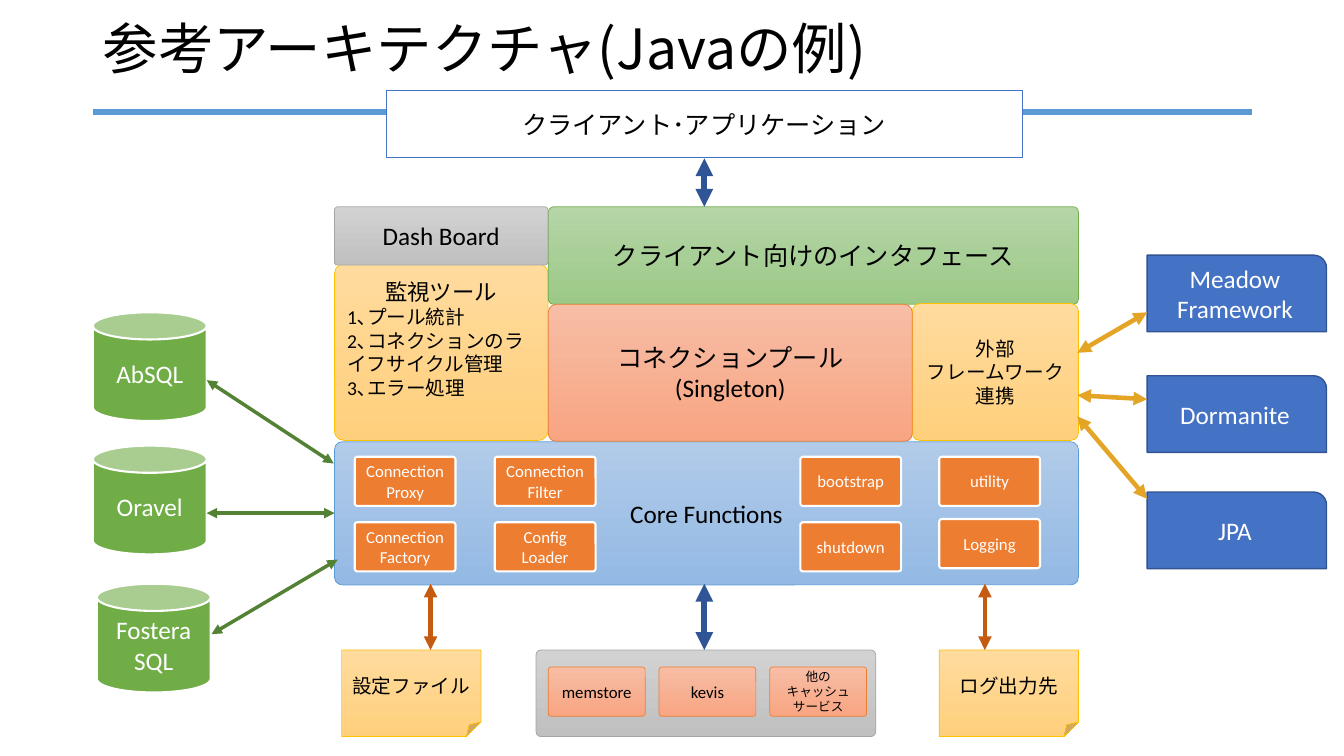
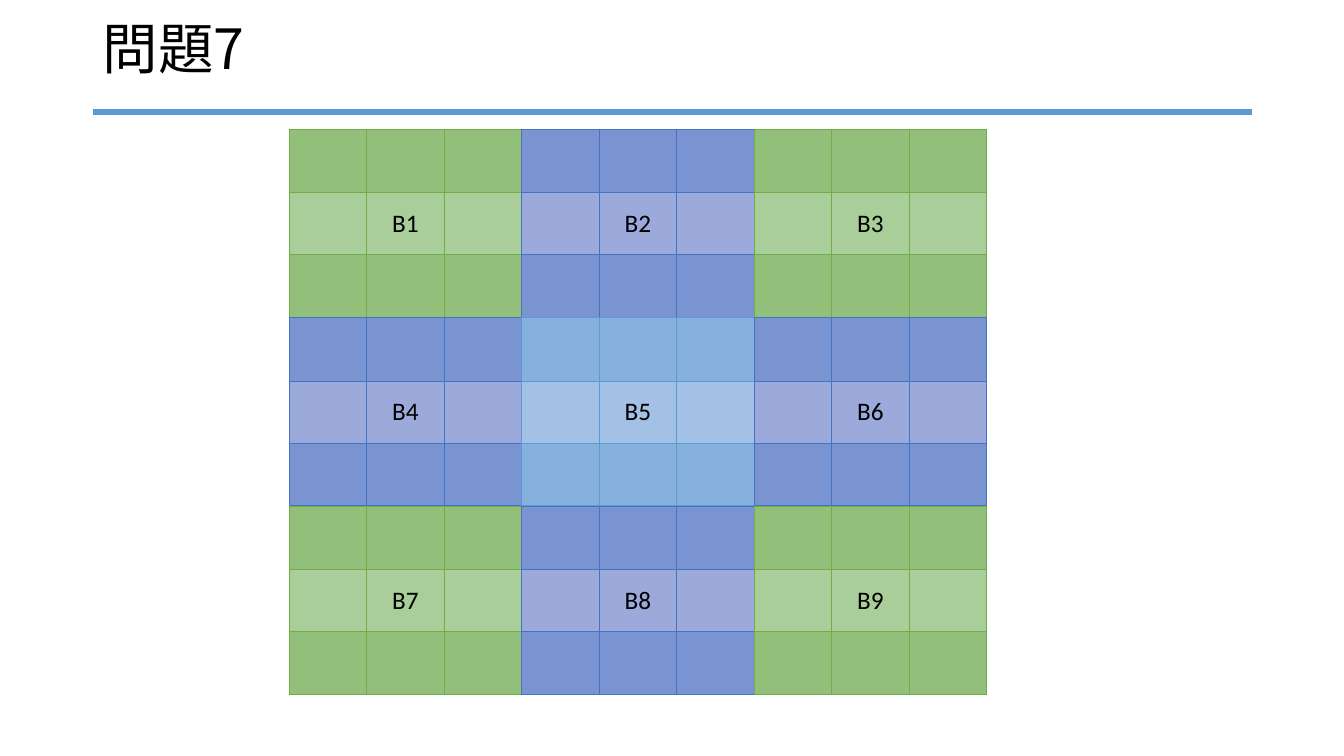
"""Build two slides: a layered architecture diagram and a nine-block grid."""
import dataclasses

import lxml.etree
import pptx
import pptx.dml.color
import pptx.enum.shapes
import pptx.enum.text
import pptx.oxml.ns
import pptx.presentation
import pptx.shapes.autoshape
import pptx.slide
import pptx.table
import pptx.text.text
import pptx.util

Cm = pptx.util.Cm
Pt = pptx.util.Pt
qn = pptx.oxml.ns.qn
Preset = pptx.enum.shapes.MSO_SHAPE
Align = pptx.enum.text.PP_ALIGN
Anchor = pptx.enum.text.MSO_ANCHOR


@dataclasses.dataclass(frozen=True)
class BoxStyle:
    """Look of one family of boxes; two fills make a vertical gradient."""
    preset: Preset
    fills: tuple[str, ...]
    line: str
    line_width: float
    text: str
    corner: float | None = None


@dataclasses.dataclass(frozen=True)
class BlockColours:
    """Border, outer-row and middle-row colours of one grid block."""
    border: str
    outer: str
    middle: str


def layer(top: str, bottom: str, line: str) -> BoxStyle:
    """Return a softly rounded gradient style."""
    return BoxStyle(Preset.ROUNDED_RECTANGLE, (top, bottom), line, 0.5, "000000", 0.056)


@dataclasses.dataclass(frozen=True)
class Theme:
    """Fonts, type sizes, colours and box styles of the presentation."""
    latin: str = "Calibri"
    japanese: str = "Noto Sans CJK JP"
    title_size: float = 39.6
    large: float = 18
    medium: float = 16
    body: float = 14
    small: float = 12
    tiny: float = 9
    black: str = "000000"
    rule: str = "5B9BD5"
    navy: str = "2F5597"
    rust: str = "C55A11"
    forest: str = "548235"
    amber: str = "E4A526"
    gold: BoxStyle = layer("FFDB9E", "FFD07C", "FFC000")
    sky: BoxStyle = layer("B1CBE9", "93B9E4", "5B9BD5")
    grey: BoxStyle = layer("D2D2D2", "C0C0C0", "A5A5A5")
    salmon: BoxStyle = layer("F7BDA5", "F8A582", "ED7D31")
    green: BoxStyle = layer("B5D5A7", "9CC987", "70AD47")
    note: BoxStyle = BoxStyle(Preset.FOLDED_CORNER, ("FFDB9E", "FFD07C"), "FFC000", 0.5, "000000")
    module: BoxStyle = BoxStyle(Preset.ROUNDED_RECTANGLE, ("ED7D31",), "FFFFFF", 1.5, "FFFFFF", 0.056)
    database: BoxStyle = BoxStyle(Preset.CAN, ("70AD47",), "FFFFFF", 1.5, "FFFFFF")
    framework: BoxStyle = BoxStyle(Preset.ROUND_1_RECTANGLE, ("4472C4",), "325491", 1, "FFFFFF")
    client: BoxStyle = BoxStyle(Preset.RECTANGLE, ("FFFFFF",), "4472C4", 0, "000000")
    corner_block: BlockColours = BlockColours("70AD47", "92C07A", "A9CE99")
    edge_block: BlockColours = BlockColours("4472C4", "7994D1", "9BAADA")
    centre_block: BlockColours = BlockColours("5B9BD5", "86B1DD", "A3C0E5")


THEME = Theme()


@dataclasses.dataclass(frozen=True)
class Box:
    """A labelled box, in centimetres, with optional left-aligned details."""
    style: BoxStyle
    left: float
    top: float
    width: float
    height: float
    lines: tuple[str, ...] = ()
    size: float = THEME.large
    details: tuple[str, ...] = ()
    bottom_inset: float = 0.13


@dataclasses.dataclass(frozen=True)
class Arrow:
    """A double-headed arrow between two points, in centimetres."""
    start: tuple[float, float]
    end: tuple[float, float]
    colour: str
    width: float


def rgb(value: str) -> pptx.dml.color.RGBColor:
    """Return the colour object for a hexadecimal value."""
    return pptx.dml.color.RGBColor.from_string(value)


def add_run(paragraph: pptx.text.text._Paragraph, text: str, size: float,
            colour: str, latin: str = THEME.latin) -> None:
    """Append one formatted run to a paragraph."""
    run = paragraph.add_run()
    run.text = text
    run.font.size = Pt(size)
    run.font.color.rgb = rgb(colour)
    run.font.name = latin
    lxml.etree.SubElement(run._r.get_or_add_rPr(), qn("a:ea"), typeface=THEME.japanese)


def add_line(slide: pptx.slide.Slide, line: Arrow, heads: bool = True) -> None:
    """Draw a straight line, with arrowheads at both ends if wanted."""
    connector = slide.shapes.add_connector(
        pptx.enum.shapes.MSO_CONNECTOR.STRAIGHT,
        *(Cm(value) for value in line.start + line.end))
    connector.line.color.rgb = rgb(line.colour)
    connector.line.width = Pt(line.width)
    properties = connector._element.spPr
    if heads:
        for end in ("a:headEnd", "a:tailEnd"):
            lxml.etree.SubElement(properties.find(qn("a:ln")), qn(end), type="triangle")
    lxml.etree.SubElement(properties, qn("a:effectLst"))


def paint(shape: pptx.shapes.autoshape.Shape, style: BoxStyle) -> None:
    """Apply fill, outline and corner radius to a shape."""
    shape.shadow.inherit = False
    if len(style.fills) == 1:
        shape.fill.solid()
        shape.fill.fore_color.rgb = rgb(style.fills[0])
    else:
        shape.fill.gradient()
        shape.fill.gradient_angle = 270
        for stop, colour in zip(shape.fill.gradient_stops, style.fills):
            stop.color.rgb = rgb(colour)
    shape.line.color.rgb = rgb(style.line)
    shape.line.width = Pt(style.line_width)
    if style.corner is not None:
        shape.adjustments[0] = style.corner


def add_box(slide: pptx.slide.Slide, box: Box) -> None:
    """Draw one box and its text."""
    shape = slide.shapes.add_shape(
        box.style.preset, Cm(box.left), Cm(box.top), Cm(box.width), Cm(box.height))
    paint(shape, box.style)
    frame = shape.text_frame
    frame.word_wrap = True
    frame.vertical_anchor = Anchor.MIDDLE
    frame.margin_bottom = Cm(box.bottom_inset)
    rows = [(text, box.size, Align.CENTER) for text in box.lines]
    rows += [(text, THEME.body, Align.LEFT) for text in box.details]
    for index, (text, size, alignment) in enumerate(rows):
        paragraph = frame.add_paragraph() if index else frame.paragraphs[0]
        paragraph.alignment = alignment
        add_run(paragraph, text, size, box.style.text)


def add_titled_slide(presentation: pptx.presentation.Presentation, title: str) -> pptx.slide.Slide:
    """Add a blank slide with the shared title and rule."""
    slide = presentation.slides.add_slide(presentation.slide_layouts[6])
    add_line(slide, Arrow((2.34, 2.82), (31.55, 2.82), THEME.rule, 3.75), heads=False)
    frame = slide.shapes.add_textbox(Cm(2.34), Cm(0.38), Cm(29.21), Cm(1.85)).text_frame
    frame.word_wrap = True
    frame.vertical_anchor = Anchor.MIDDLE
    frame.paragraphs[0].line_spacing = 0.9
    add_run(frame.paragraphs[0], title, THEME.title_size, THEME.black, THEME.japanese)
    return slide


def architecture_boxes() -> list[Box]:
    """List the boxes of the architecture from back to front."""
    boxes = [
        Box(THEME.note, 8.61, 16.38, 3.51, 2.18, ("設定ファイル",), THEME.body),
        Box(THEME.note, 23.67, 16.38, 3.51, 2.18, ("ログ出力先",), THEME.body),
        Box(THEME.sky, 8.43, 11.13, 18.75, 3.61, ("Core Functions",)),
        Box(THEME.grey, 13.51, 16.38, 8.56, 2.18),
        Box(THEME.gold, 8.43, 6.65, 5.38, 4.45, ("監視ツール",), THEME.medium,
            ("1､プール統計", "2､コネクションのライフサイクル管理", "3､エラー処理"), 0.81),
        Box(THEME.green, 13.82, 5.21, 13.36, 2.46, ("クライアント向けのインタフェース",)),
        Box(THEME.gold, 22.99, 7.65, 4.19, 3.45, ("外部", "フレームワーク", "連携"), THEME.body),
        Box(THEME.grey, 8.43, 5.21, 5.38, 1.47, ("Dash Board",)),
        Box(THEME.salmon, 13.82, 7.67, 9.17, 3.45, ("コネクションプール", "(Singleton)")),
        Box(THEME.client, 9.73, 2.29, 16.03, 1.68, ("クライアント･アプリケーション",)),
    ]
    caches = ((("memstore",), THEME.small), (("kevis",), THEME.small),
              (("他の", "キャッシュサービス"), THEME.tiny))
    for index, (lines, size) in enumerate(caches):
        boxes.append(Box(THEME.salmon, 13.82 + 2.79 * index, 16.81, 2.44, 1.24, lines, size))
    modules = (
        (8.94, 13.16, ("Connection", "Proxy"), ("Connection", "Factory")),
        (12.47, 13.16, ("Connection", "Filter"), ("Config", "Loader")),
        (20.17, 13.16, ("bootstrap",), ("shutdown",)),
        (23.67, 13.08, ("utility",), ("Logging",)),
    )
    for left, lower_top, upper, lower in modules:
        for top, lines in ((11.51, upper), (lower_top, lower)):
            boxes.append(Box(THEME.module, left, top, 2.54, 1.24, lines, THEME.small))
    databases = ((2.34, 7.87, ("AbSQL",)), (2.34, 11.23, ("Oravel",)),
                 (2.44, 14.71, ("Fostera", "SQL")))
    for left, top, lines in databases:
        boxes.append(Box(THEME.database, left, top, 2.87, 2.74, lines))
    for top, name in ((6.43, "Meadow Framework"), (9.47, "Dormanite"), (12.4, "JPA")):
        boxes.append(Box(THEME.framework, 28.91, top, 4.52, 1.93, (name,)))
    return boxes


ARROWS = (
    Arrow((10.85, 14.71), (10.85, 16.38), THEME.rust, 3.25),
    Arrow((24.82, 14.71), (24.82, 16.38), THEME.rust, 3.25),
    Arrow((17.75, 14.71), (17.75, 16.38), THEME.navy, 4.25),
    Arrow((17.75, 3.99), (17.75, 5.21), THEME.navy, 4.25),
    Arrow((5.21, 9.58), (8.41, 11.68), THEME.forest, 2.5),
    Arrow((5.21, 12.93), (8.43, 12.93), THEME.forest, 2.5),
    Arrow((5.33, 15.98), (8.51, 14.1), THEME.forest, 2.5),
    Arrow((27.15, 8.89), (28.91, 7.87), THEME.amber, 3.25),
    Arrow((27.15, 9.96), (28.91, 10.06), THEME.amber, 3.25),
    Arrow((27.15, 10.49), (28.91, 12.57), THEME.amber, 3.25),
)


def format_cell(cell: pptx.table._Cell, border: str, fill: str) -> None:
    """Give a cell its four borders and its fill."""
    properties = cell._tc.get_or_add_tcPr()
    for side in ("a:lnL", "a:lnR", "a:lnT", "a:lnB"):
        line = lxml.etree.SubElement(properties, qn(side), w=str(Pt(0.5)))
        solid = lxml.etree.SubElement(line, qn("a:solidFill"))
        lxml.etree.SubElement(solid, qn("a:srgbClr"), val=border)
    cell.fill.solid()
    cell.fill.fore_color.rgb = rgb(fill)


def add_block(slide: pptx.slide.Slide, left: float, top: float,
              label: str, colours: BlockColours) -> None:
    """Draw a three-by-three table with its label in the middle cell."""
    table = slide.shapes.add_table(3, 3, Cm(left), Cm(top), Cm(5.85), Cm(4.74)).table
    table.first_row = False
    table.horz_banding = False
    for column in table.columns:
        column.width = Cm(1.95)
    for index, height in enumerate((1.6, 1.57, 1.57)):
        table.rows[index].height = Cm(height)
        for column in range(3):
            format_cell(table.cell(index, column), colours.border,
                        colours.middle if index == 1 else colours.outer)
    centre = table.cell(1, 1)
    centre.vertical_anchor = Anchor.MIDDLE
    paragraph = centre.text_frame.paragraphs[0]
    paragraph.alignment = Align.CENTER
    add_run(paragraph, label, THEME.large, THEME.black)


def block_colours(row: int, column: int) -> BlockColours:
    """Choose block colours by position: edge, centre or corner."""
    if (row + column) % 2:
        return THEME.edge_block
    return THEME.centre_block if row == column == 1 else THEME.corner_block


def main() -> None:
    """Build and save the presentation."""
    presentation = pptx.Presentation()
    presentation.slide_width = Cm(33.87)
    presentation.slide_height = Cm(19.05)
    architecture = add_titled_slide(presentation, "参考アーキテクチャ(Javaの例)")
    for box in architecture_boxes():
        add_box(architecture, box)
    for arrow in ARROWS:
        add_line(architecture, arrow)
    problem = add_titled_slide(presentation, "問題7")
    for index in range(9):
        row, column = divmod(index, 3)
        add_block(problem, 7.29 + 5.86 * column, 3.25 + 4.75 * row,
                  f"B{index + 1}", block_colours(row, column))
    presentation.save("out.pptx")


main()
